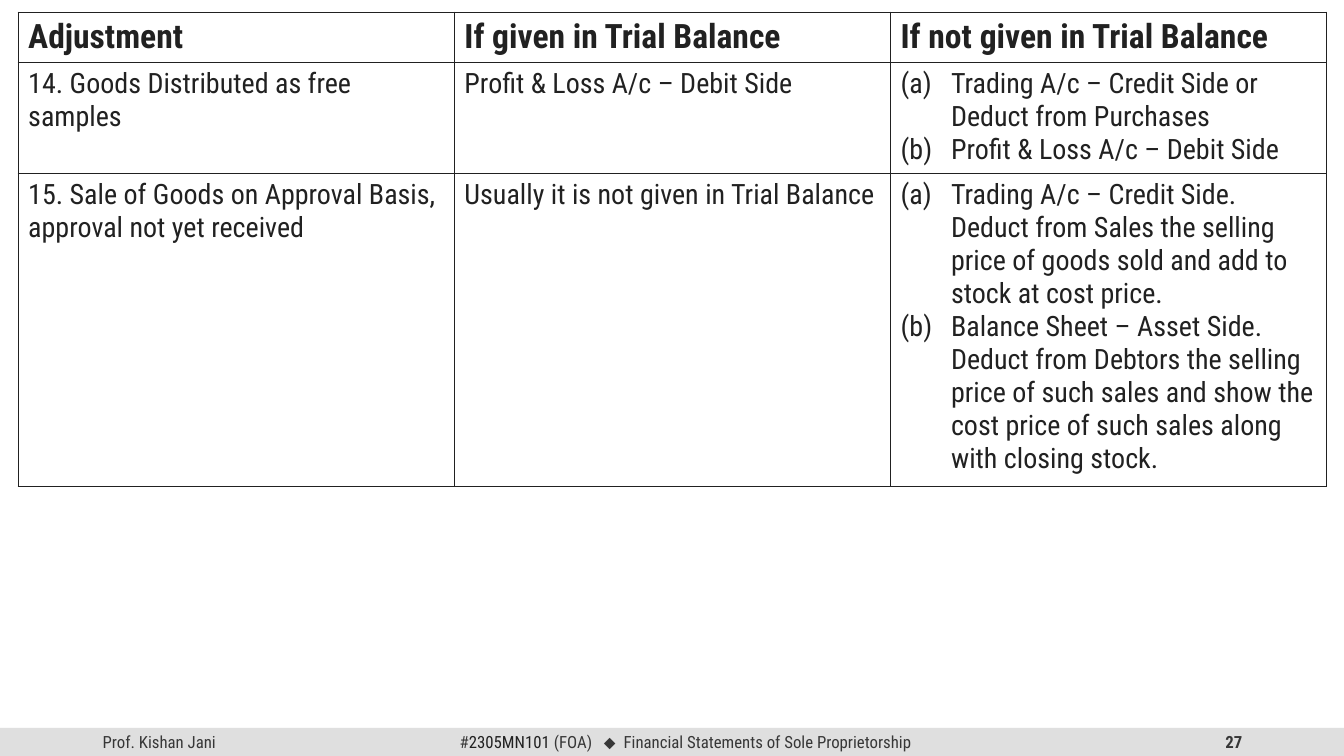
from lxml.etree import SubElement
from pptx import Presentation
from pptx.dml.color import RGBColor
from pptx.enum.shapes import MSO_SHAPE as Shape
from pptx.enum.text import MSO_ANCHOR as Anchor, PP_ALIGN as Align
from pptx.oxml import parse_xml
from pptx.oxml.ns import nsdecls, qn
from pptx.util import Inches, Pt

COLORS = {"ink": "212121", "footer": "373737", "band": "DFDFDF"}
FONT = "Roboto Condensed"


def add_span(para, text, size, color, bold=False, font=FONT):
    span = para.add_run()
    span.text = text
    for name, value in {"name": font, "size": Pt(size), "bold": bold}.items():
        setattr(span.font, name, value)
    span.font.color.rgb = RGBColor.from_string(COLORS[color])
    return span


def add_footer_box(left, width, align):
    """Add a one-line box on the footer band and return its paragraph."""
    box = page.shapes.add_textbox(Inches(left), band_top, Inches(width), band_height)
    frame = box.text_frame
    frame.word_wrap = True
    frame.vertical_anchor = Anchor.MIDDLE
    frame.margin_top = frame.margin_bottom = 0
    para = frame.paragraphs[0]
    para.alignment = align
    return para


deck = Presentation()
deck.slide_width, deck.slide_height = Inches(13.33), Inches(7.5)
page = deck.slides.add_slide(deck.slide_layouts[6])

# Footer
band_height = Inches(0.28)
band_top = deck.slide_height - band_height
band = page.shapes.add_shape(Shape.RECTANGLE, 0, band_top, deck.slide_width, band_height)
band.shadow.inherit = False
band.fill.solid()
band.fill.fore_color.rgb = RGBColor.from_string(COLORS["band"])
band.line.fill.background()

add_span(add_footer_box(0.92, 3, Align.LEFT), "Prof. Kishan Jani", 12, "footer")
add_span(add_footer_box(9.42, 3, Align.RIGHT), "27", 12, "footer", bold=True)

# Course line: text, colour, font, letter spacing in hundredths of a point
course_spans = [
    ("#", "footer", FONT, 0),
    ("2305MN101 ", "ink", FONT, 0),
    ("(FOA)", "footer", FONT, 0),
    (" ", "footer", FONT, 550),
    ("⬥", "footer", "Arial", 0),
    (" ", "footer", FONT, 300),
    ("Financial Statements of Sole Proprietorship", "footer", FONT, 0),
]
course = add_footer_box(4.18, 5.24, Align.CENTER)
for text, color, font, spacing in course_spans:
    span = add_span(course, text, 12, color, font=font)
    if spacing:
        span.font._element.set("spc", str(spacing))

# Adjustments table: a list in a cell is lettered (a), (b)
rows = [
    ["Adjustment", "If given in Trial Balance", "If not given in Trial Balance"],
    [
        "14. Goods Distributed as free samples",
        "Profit & Loss A/c – Debit Side",
        [
            "Trading A/c – Credit Side or Deduct from Purchases",
            "Profit & Loss A/c – Debit Side",
        ],
    ],
    [
        "15. Sale of Goods on Approval Basis, approval not yet received",
        "Usually it is not given in Trial Balance",
        [
            "Trading A/c – Credit Side. Deduct from Sales the selling price of "
            "goods sold and add to stock at cost price.",
            "Balance Sheet – Asset Side. Deduct from Debtors the selling price of "
            "such sales and show the cost price of such sales along with closing stock.",
        ],
    ],
]
row_heights = [0.48, 1.08, 3.04]
table = page.shapes.add_table(
    len(rows), len(rows[0]), Inches(0.18), Inches(0.12),
    Inches(12.98), Inches(sum(row_heights)),
).table
table.first_row = table.horz_banding = False

for row_index, (row, height) in enumerate(zip(rows, row_heights)):
    table.rows[row_index].height = Inches(height)
    is_header = row_index == 0
    for column_index, content in enumerate(row):
        cell = table.cell(row_index, column_index)
        cell.fill.background()
        cell_format = cell._tc.get_or_add_tcPr()
        for position, side in enumerate(("lnL", "lnR", "lnT", "lnB")):
            cell_format.insert(position, parse_xml(
                f'<a:{side} {nsdecls("a")} w="12700"><a:solidFill>'
                f'<a:srgbClr val="{COLORS["ink"]}"/></a:solidFill></a:{side}>'
            ))

        lettered = isinstance(content, list)
        for index, text in enumerate(content if lettered else [content]):
            frame = cell.text_frame
            para = frame.add_paragraph() if index else frame.paragraphs[0]
            if lettered:
                para_format = para._p.get_or_add_pPr()
                para_format.set("marL", str(Inches(0.5)))
                para_format.set("indent", str(-Inches(0.5)))
                SubElement(para_format, qn("a:buFont"), typeface="+mj-lt")
                SubElement(para_format, qn("a:buAutoNum"), type="alphaLcParenBoth")
            add_span(para, text, 24 if is_header else 20, "ink", bold=is_header)

deck.save("out.pptx")
